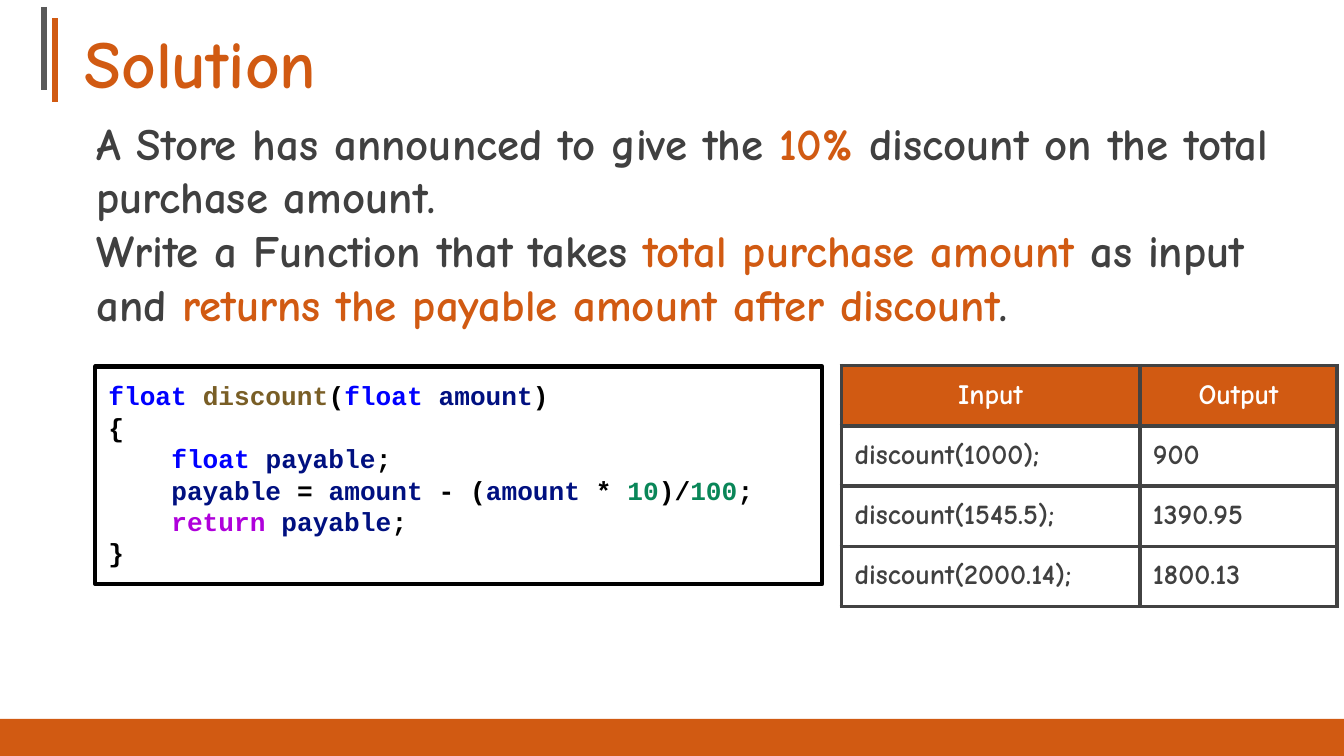
from pptx import Presentation
from pptx.dml.color import RGBColor
from pptx.enum.shapes import MSO_CONNECTOR, MSO_SHAPE
from pptx.enum.text import MSO_ANCHOR, PP_ALIGN
from pptx.oxml import parse_xml
from pptx.oxml.ns import nsdecls
from pptx.util import Cm, Pt
from lxml import etree

STRAIGHT = MSO_CONNECTOR.STRAIGHT
RECT = MSO_SHAPE.RECTANGLE
TOP, BASE = MSO_ANCHOR.TOP, MSO_ANCHOR.BOTTOM
LEFT, MID = PP_ALIGN.LEFT, PP_ALIGN.CENTER

ACCENT, DARK, GRAY, EDGE = "D15A12", "404040", "595959", "424242"
BLACK, WHITE = "000000", "FFFFFF"
TYPE, FUNC, NAME, NUM, FLOW = "0000FF", "795E26", "001080", "098658", "AF00DB"
SANS, MONO = "Comic Neue", "Courier New"
PAD = Cm(0.25)

TASK = [
    [("A Store has announced to give the ", DARK), ("10%", ACCENT),
     (" discount on the total purchase amount.", DARK)],
    [("Write a Function that takes ", DARK), ("total purchase amount", ACCENT),
     (" as input and ", DARK),
     ("returns the payable amount after discount", ACCENT), (".", DARK)],
]
CODE = [
    [("float", TYPE), (" ", BLACK), ("discount", FUNC), ("(", BLACK),
     ("float", TYPE), (" ", BLACK), ("amount", NAME), (")", BLACK)],
    [("{", BLACK)],
    [("    ", BLACK), ("float", TYPE), (" ", BLACK), ("payable", NAME), (";", BLACK)],
    [("    ", BLACK), ("payable", NAME), (" = ", BLACK), ("amount", NAME),
     (" - (", BLACK), ("amount", NAME), (" * ", BLACK), ("10", NUM),
     (")/", BLACK), ("100", NUM), (";", BLACK)],
    [("    ", BLACK), ("return", FLOW), (" ", BLACK), ("payable", NAME), (";", BLACK)],
    [("}", BLACK)],
]
TESTS = [
    ("Input", "Output"),
    ("discount(1000);", "900"),
    ("discount(1545.5);", "1390.95"),
    ("discount(2000.14);", "1800.13"),
]


def color(code):
    return RGBColor.from_string(code)


def style(para, font, size, align=LEFT):
    para.alignment = align
    para.font.name = font
    para.font.size = Pt(size)
    para.font.bold = True


def write(frame, lines, font, size, anchor=TOP):
    frame.word_wrap = True
    frame.vertical_anchor = anchor
    frame.margin_left = frame.margin_right = PAD
    frame.margin_top = frame.margin_bottom = PAD
    for i, line in enumerate(lines):
        para = frame.paragraphs[0] if i == 0 else frame.add_paragraph()
        style(para, font, size)
        para.line_spacing = Pt(round(size * 1.2, 1))
        for text, code in line:
            run = para.add_run()
            run.text = text
            run.font.color.rgb = color(code)


def add_text(slide, x, y, w, h, lines, size, anchor=TOP):
    box = slide.shapes.add_textbox(Cm(x), Cm(y), Cm(w), Cm(h))
    write(box.text_frame, lines, SANS, size, anchor)


def add_rect(slide, x, y, w, h, fill=None, line=None):
    rect = slide.shapes.add_shape(RECT, Cm(x), Cm(y), Cm(w), Cm(h))
    rect.shadow.inherit = False
    if fill:
        rect.fill.solid()
        rect.fill.fore_color.rgb = color(fill)
    else:
        rect.fill.background()
    if line:
        rect.line.color.rgb = color(line)
        rect.line.width = Pt(2.25)
    else:
        rect.line.fill.background()
    return rect


def add_rule(slide, x, y, size, code):
    rule = slide.shapes.add_connector(STRAIGHT, Cm(x), Cm(y), Cm(x), Cm(y + size))
    rule.line.color.rgb = color(code)
    rule.line.width = Pt(3)
    etree.SubElement(rule._element.spPr, rule._element.spPr.tag.replace(
        "presentationml", "drawingml").rsplit("}", 1)[0] + "}effectLst")


def add_edges(cell):
    props = cell._tc.get_or_add_tcPr()
    for side in "LRTB":
        props.append(parse_xml(
            f'<a:ln{side} {nsdecls("a")} w="{Pt(2.25)}"><a:solidFill>'
            f'<a:srgbClr val="{EDGE}"/></a:solidFill></a:ln{side}>'))


def fill_cell(cell, text, head):
    add_edges(cell)
    cell.margin_left = cell.margin_right = PAD
    cell.margin_top = cell.margin_bottom = PAD
    if head:
        cell.fill.solid()
        cell.fill.fore_color.rgb = color(ACCENT)
    else:
        cell.fill.background()
    para = cell.text_frame.paragraphs[0]
    style(para, SANS, 15, MID if head else LEFT)
    para.font.color.rgb = color(WHITE if head else DARK)
    para.add_run().text = text


def add_tests(slide, x, y, widths, high):
    rows = len(TESTS)
    table = slide.shapes.add_table(
        rows, len(widths), Cm(x), Cm(y), Cm(sum(widths)), Cm(high * rows)).table
    for col, width in zip(table.columns, widths):
        col.width = Cm(width)
    for r, test in enumerate(TESTS):
        table.rows[r].height = Cm(high)
        for c, text in enumerate(test):
            fill_cell(table.cell(r, c), text, r == 0)


def main():
    deck = Presentation()
    deck.slide_width, deck.slide_height = Cm(25.4), Cm(14.29)
    slide = deck.slides.add_slide(deck.slide_layouts[6])
    add_rule(slide, 1.04, 0.35, 1.58, ACCENT)
    add_rule(slide, 0.83, 0.13, 1.58, GRAY)
    add_rect(slide, 0, 13.59, 25.4, 0.7, fill=ACCENT)
    add_text(slide, 1.35, 0, 24.05, 2.18, [[("Solution", ACCENT)]], 36, BASE)
    code = add_rect(slide, 1.8, 6.93, 13.74, 4.11, line=BLACK)
    write(code.text_frame, CODE, MONO, 14)
    add_text(slide, 1.57, 1.93, 23.06, 4.62, TASK, 24)
    add_tests(slide, 15.9, 6.91, (5.64, 3.73), 1.14)
    deck.save("out.pptx")


if __name__ == "__main__":
    main()
